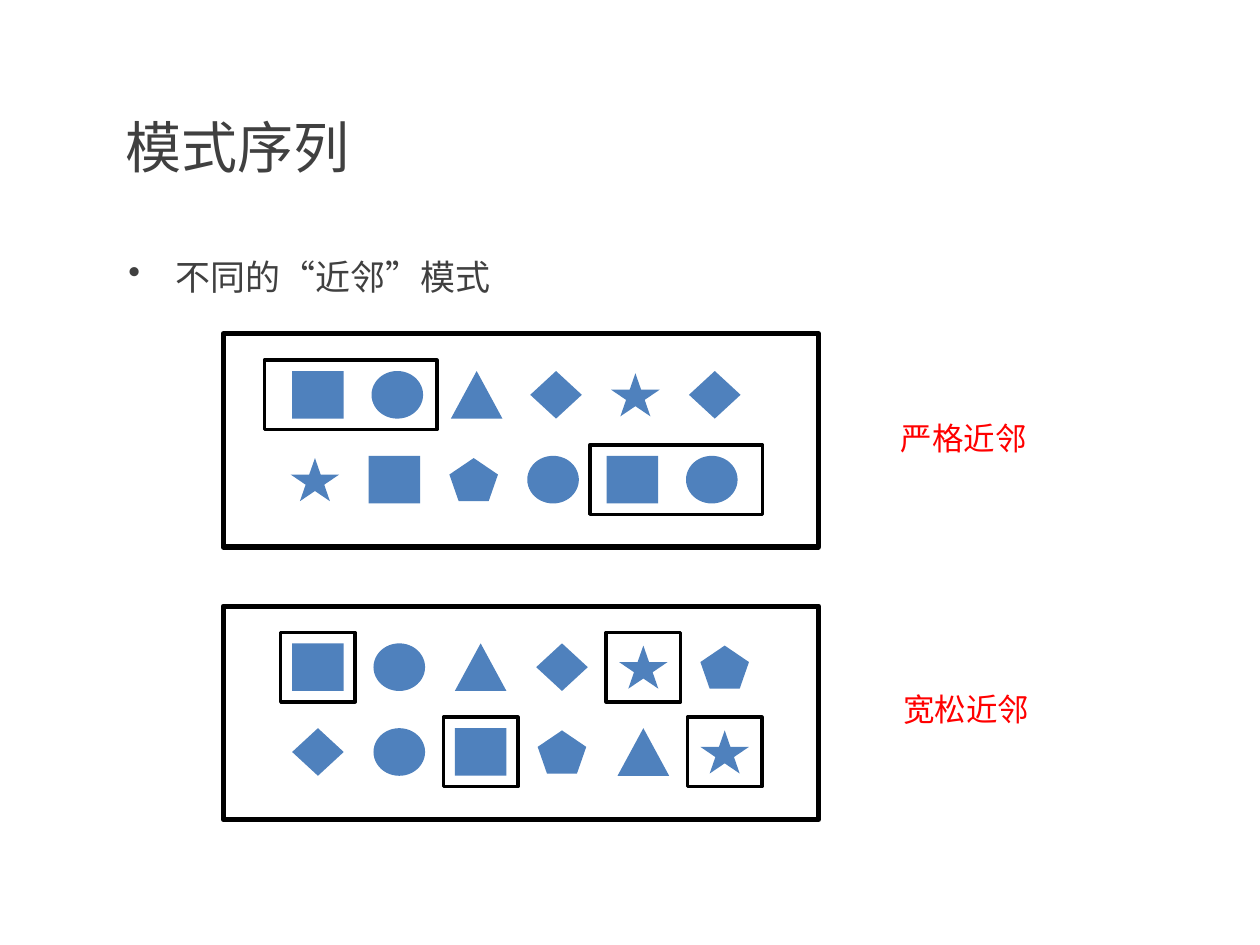
import pptx
import pptx.util
import pptx.dml.color
import pptx.enum.shapes
import pptx.enum.text
import pptx.oxml
import pptx.oxml.ns
from pptx.util import Cm

# ---- Content ----
TITLE = "模式序列"
BULLET = "不同的“近邻”模式"

# Frames: (row, first item, last item, left shift in cm)
PANELS = [
    {"label": "严格近邻", "top": 6.73, "label_left": 17.91, "label_top": 8.33,
     "pitch": 1.6, "pair_pad": 1.88,
     "rows": ["square circle triangle diamond star diamond",
              "star square pentagon circle square circle"],
     "starts": [6.41, 6.35],
     "frames": [(0, 0, 1, -0.14), (1, 4, 5, 0.08)]},
    {"label": "宽松近邻", "top": 12.22, "label_left": 17.96, "label_top": 13.79,
     "pitch": 1.64, "pair_pad": 1.5,
     "rows": ["square circle triangle diamond star pentagon",
              "diamond circle square pentagon triangle star"],
     "starts": [6.41, 6.41],
     "frames": [(0, 0, 0, 0), (0, 4, 4, 0), (1, 2, 2, 0), (1, 5, 5, 0)]},
]

# ---- Theme ----
THEME = {"font": "Noto Sans CJK SC", "text": "404040", "label": "FF0000",
         "item": "4F81BD", "line": "000000",
         "title_size": 32, "bullet_size": 20, "label_size": 18}

# ---- Geometry (cm) ----
PANEL_LEFT, PANEL_W, PANEL_H = 4.5, 12, 4.3
ROW_CENTRES = (1.23, 2.94)
FRAME_H = 1.4
SHAPE = pptx.enum.shapes.MSO_SHAPE
BIG, SMALL = (1.04, 0.96), (0.98, 0.87)
ITEMS = {"square": (SHAPE.RECTANGLE, BIG), "circle": (SHAPE.OVAL, BIG),
         "triangle": (SHAPE.ISOSCELES_TRIANGLE, BIG), "diamond": (SHAPE.DIAMOND, BIG),
         "star": (SHAPE.STAR_5_POINT, SMALL), "pentagon": (SHAPE.REGULAR_PENTAGON, SMALL)}


def rgb(name):
    return pptx.dml.color.RGBColor.from_string(THEME[name])


def write(frame, text, size, colour):
    paragraph = frame.paragraphs[0]
    paragraph.text = text
    paragraph.alignment = pptx.enum.text.PP_ALIGN.LEFT
    font = paragraph.font
    font.name, font.size = THEME["font"], pptx.util.Pt(THEME[size])
    font.color.rgb = rgb(colour)
    # East Asian characters take their own typeface entry
    latin = paragraph._p.find(".//" + pptx.oxml.ns.qn("a:latin"))
    east_asian = pptx.oxml.parse_xml(
        f'<a:ea {pptx.oxml.ns.nsdecls("a")} typeface="{THEME["font"]}"/>')
    latin.addnext(east_asian)
    return paragraph


def indent(paragraph, margin, first_line):
    properties = paragraph._p.get_or_add_pPr()
    properties.set("marL", str(Cm(margin)))
    properties.set("indent", str(Cm(first_line)))
    return properties


def add_text(slide, box, text, size, colour):
    frame = slide.shapes.add_textbox(*map(Cm, box)).text_frame
    frame.word_wrap = True
    frame.auto_size = pptx.enum.text.MSO_AUTO_SIZE.SHAPE_TO_FIT_TEXT
    return write(frame, text, size, colour)


def add_centred(group, kind, x, y, width, height, line_width=None):
    """Add an outline when line_width is given, otherwise a filled item."""
    shape = group.shapes.add_shape(
        kind, Cm(x - width / 2), Cm(y - height / 2), Cm(width), Cm(height))
    shape.shadow.inherit = False
    if line_width:
        shape.fill.background()
        shape.line.color.rgb = rgb("line")
        shape.line.width = pptx.util.Pt(line_width)
    else:
        shape.fill.solid()
        shape.fill.fore_color.rgb = rgb("item")
        shape.line.fill.background()


def add_panel(slide, panel):
    group = slide.shapes.add_group_shape()
    top, pitch = panel["top"], panel["pitch"]

    def centre(row, column):
        return panel["starts"][row] + column * pitch, top + ROW_CENTRES[row]

    # Event sequence
    for row, names in enumerate(panel["rows"]):
        for column, name in enumerate(names.split()):
            kind, size = ITEMS[name]
            add_centred(group, kind, *centre(row, column), *size)

    # Panel border and match frames
    add_centred(group, SHAPE.RECTANGLE, PANEL_LEFT + PANEL_W / 2, top + PANEL_H / 2,
                PANEL_W, PANEL_H, 3)
    for row, first, last, shift in panel["frames"]:
        x, y = centre(row, (first + last) / 2)
        add_centred(group, SHAPE.RECTANGLE, x + shift, y,
                    (last - first) * pitch + panel["pair_pad"], FRAME_H, 2)

    # Label
    add_text(slide, (panel["label_left"], panel["label_top"], 4.3, 1.03),
             panel["label"], "label_size", "label")


def main():
    deck = pptx.Presentation()
    deck.slide_width, deck.slide_height = Cm(25.4), Cm(19.05)
    slide = deck.slides.add_slide(deck.slide_layouts[5])

    # Title
    title = slide.shapes.title
    title.left, title.top, title.width, title.height = map(Cm, (1.27, 1.35, 22.86, 3.18))
    title.text_frame.vertical_anchor = pptx.enum.text.MSO_ANCHOR.MIDDLE
    indent(write(title.text_frame, TITLE, "title_size", "text"), 0, 1)

    # Bullet
    bullet = add_text(slide, (2.34, 4.17, 16.97, 1.96), BULLET, "bullet_size", "text")
    bullet.line_spacing = 2.0
    properties = indent(bullet, 0.95, -0.95)
    mark = pptx.oxml.parse_xml(f'<a:buChar {pptx.oxml.ns.nsdecls("a")} char="•"/>')
    properties.find(pptx.oxml.ns.qn("a:defRPr")).addprevious(mark)

    # Panels
    for panel in PANELS:
        add_panel(slide, panel)

    deck.save("out.pptx")


if __name__ == "__main__":
    main()
